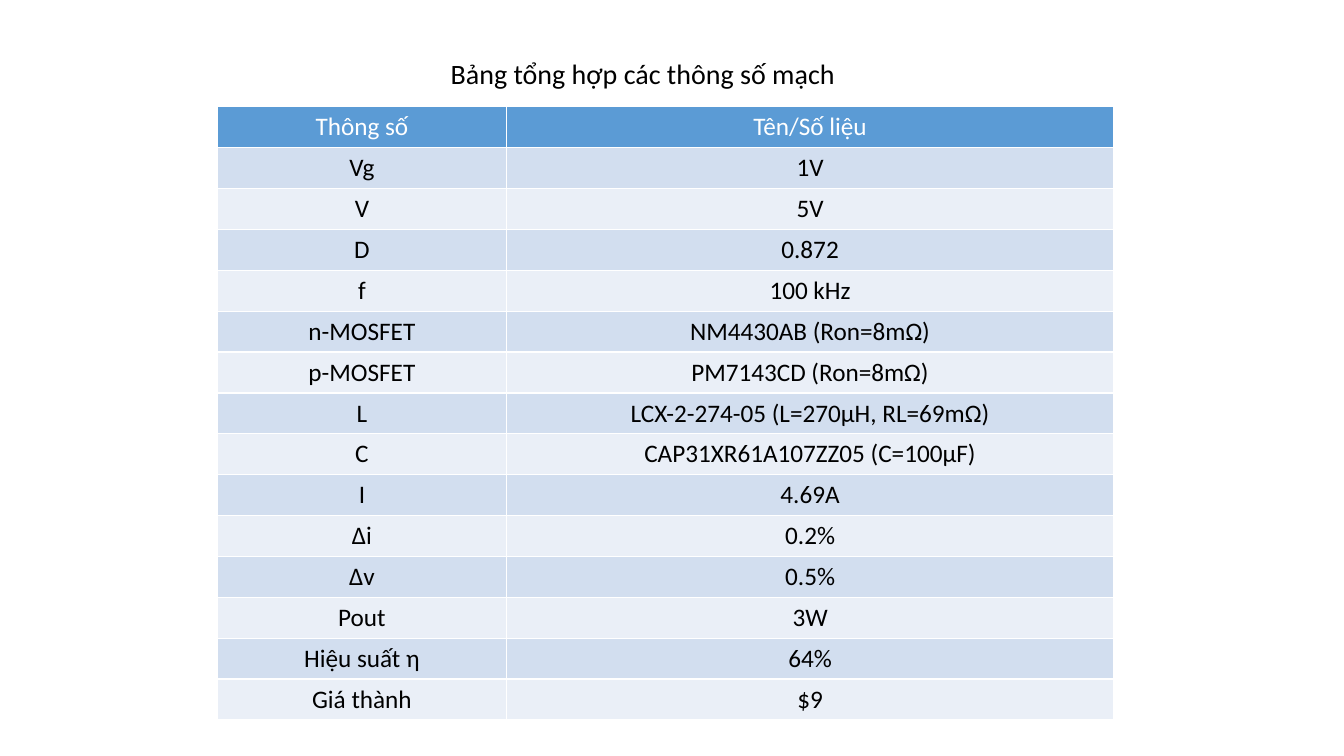
"""Build a slide with the summary table of circuit parameters."""
import pptx
import pptx.dml.color
import pptx.enum.text
import pptx.util

Inches = pptx.util.Inches
RGBColor = pptx.dml.color.RGBColor
WHITE = RGBColor(0xFF, 0xFF, 0xFF)
BLACK = RGBColor(0x00, 0x00, 0x00)
HEADER_BLUE = RGBColor(0x5B, 0x9B, 0xD5)
BAND_DARK = RGBColor(0xD2, 0xDE, 0xEF)
BAND_LIGHT = RGBColor(0xEA, 0xEF, 0xF7)

PARAMETERS = [
    ("Thông số", "Tên/Số liệu"),
    ("Vg", "1V"),
    ("V", "5V"),
    ("D", "0.872"),
    ("f", "100 kHz"),
    ("n-MOSFET", "NM4430AB (Ron=8mΩ)"),
    ("p-MOSFET", "PM7143CD (Ron=8mΩ)"),
    ("L", "LCX-2-274-05 (L=270μH, RL=69mΩ)"),
    ("C", "CAP31XR61A107ZZ05 (C=100μF)"),
    ("I", "4.69A"),
    ("∆i", "0.2%"),
    ("∆v", "0.5%"),
    ("Pout", "3W"),
    ("Hiệu suất η", "64%"),
    ("Giá thành", "$9"),
]


def format_paragraph(paragraph, size, color, alignment):
    paragraph.alignment = alignment
    for run in paragraph.runs:
        run.font.name = "Calibri"
        run.font.size = pptx.util.Pt(size)
        run.font.bold = False
        run.font.color.rgb = color


presentation = pptx.Presentation()
presentation.slide_width = Inches(13.33)
presentation.slide_height = Inches(7.5)
slide = presentation.slides.add_slide(presentation.slide_layouts[5])

title = slide.shapes.title
title.left, title.top = Inches(4.37), Inches(0.51)
title.width, title.height = Inches(4.17), Inches(0.58)
title_frame = title.text_frame
title_frame.text = "Bảng tổng hợp các thông số mạch"
title_frame.word_wrap = False
title_frame.auto_size = pptx.enum.text.MSO_AUTO_SIZE.NONE
title_frame.vertical_anchor = pptx.enum.text.MSO_ANCHOR.TOP
format_paragraph(title_frame.paragraphs[0], 20, BLACK, pptx.enum.text.PP_ALIGN.LEFT)

table = slide.shapes.add_table(
    len(PARAMETERS), 2, Inches(2.16), Inches(1.06), Inches(8.89), Inches(6.08)
).table
table.columns[0].width = Inches(2.86)
table.columns[1].width = Inches(6.03)

for row_index, row in enumerate(PARAMETERS):
    if row_index == 0:
        fill_color, text_color = HEADER_BLUE, WHITE
    else:
        fill_color = BAND_DARK if row_index % 2 else BAND_LIGHT
        text_color = BLACK
    for column_index, text in enumerate(row):
        cell = table.cell(row_index, column_index)
        cell.fill.solid()
        cell.fill.fore_color.rgb = fill_color
        cell.text_frame.text = text
        format_paragraph(
            cell.text_frame.paragraphs[0], 18, text_color, pptx.enum.text.PP_ALIGN.CENTER
        )

presentation.save("out.pptx")
